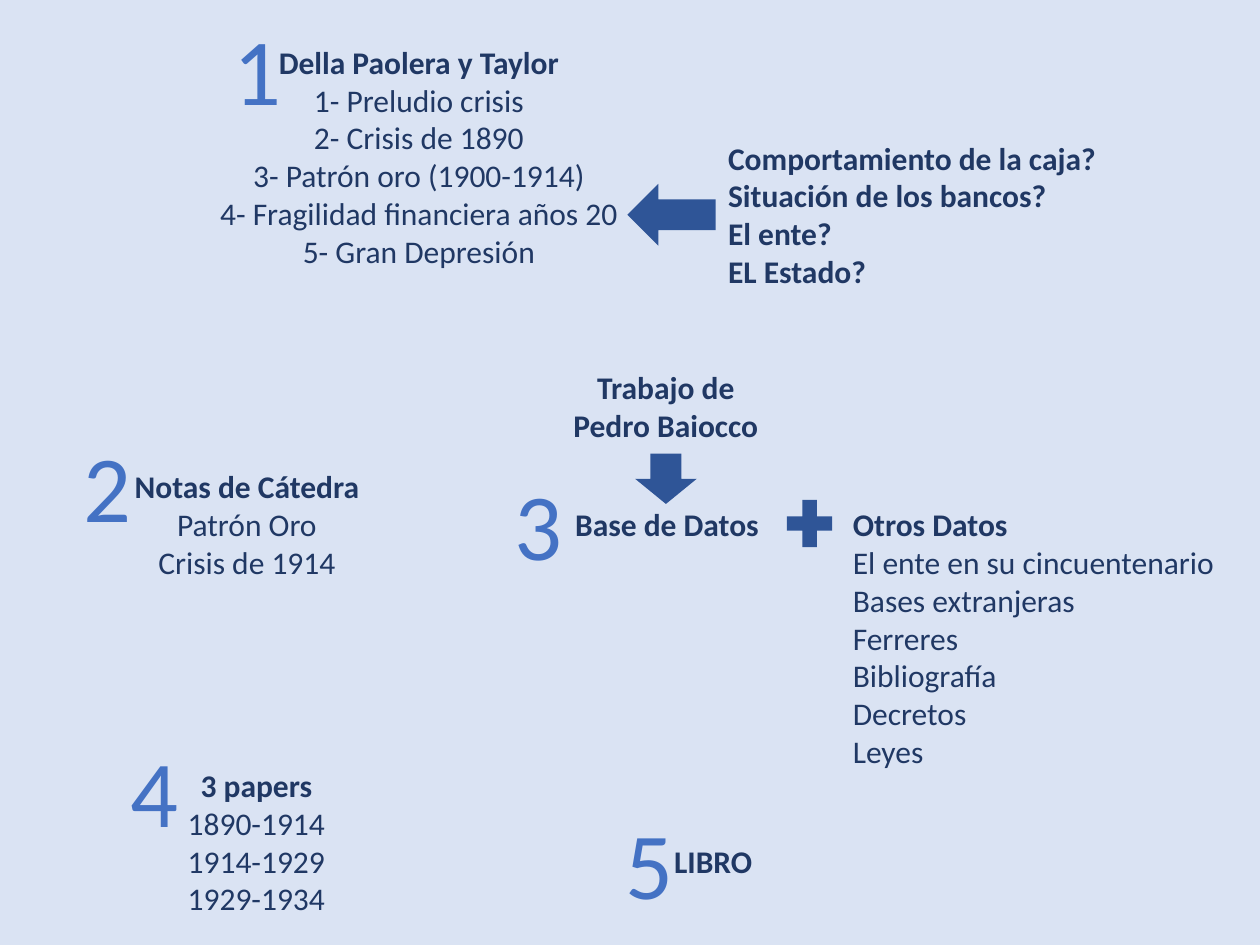
from pptx import Presentation
from pptx.dml.color import RGBColor
from pptx.enum.shapes import MSO_SHAPE
from pptx.enum.text import MSO_AUTO_SIZE, PP_ALIGN
from pptx.util import Inches, Pt

BACKGROUND = RGBColor(0xDA, 0xE3, 0xF3)
NAVY = RGBColor(0x20, 0x38, 0x64)
BLUE = RGBColor(0x2F, 0x55, 0x97)
NUMBER_BLUE = RGBColor(0x44, 0x72, 0xC4)
FONT = "Calibri"


def add_text(s, box, lines, size=18, color=NAVY, bold_lines=1,
             align=PP_ALIGN.CENTER, wrap=True):
    """Place lines in box; the first bold_lines of them are bold."""
    tf = s.shapes.add_textbox(*map(Inches, box)).text_frame
    tf.word_wrap = wrap
    tf.auto_size = MSO_AUTO_SIZE.SHAPE_TO_FIT_TEXT
    for i, line in enumerate(lines):
        p = tf.add_paragraph() if i else tf.paragraphs[0]
        p.text = line
        p.alignment = align
        p.font.name = FONT
        p.font.size = Pt(size)
        p.font.bold = i < bold_lines
        p.font.color.rgb = color


def add_number(s, number, left, top, width=0.59):
    add_text(s, (left, top, width, 1.01), [str(number)], size=54,
             color=NUMBER_BLUE, bold_lines=0, wrap=False)


def add_symbol(s, kind, box):
    sp = s.shapes.add_shape(kind, *map(Inches, box))
    sp.shadow.inherit = False
    sp.fill.solid()
    sp.fill.fore_color.rgb = BLUE
    sp.line.fill.background()


def add_authors(s, left, top):
    # Topics of the book, with the questions that point at them
    add_text(s, (left, top, 3.67, 1.92), [
        "Della Paolera y Taylor", "1- Preludio crisis", "2- Crisis de 1890",
        "3- Patrón oro (1900-1914)", "4- Fragilidad financiera años 20",
        "5- Gran Depresión"])
    add_number(s, 1, left + 0.23, top - 0.25, 0.64)
    add_symbol(s, MSO_SHAPE.LEFT_ARROW, (left + 3.49, top + 1.17, 0.7, 0.49))
    add_text(s, (left + 4.19, top + 0.76, 3.29, 1.31), [
        "Comportamiento de la caja?", "Situación de los bancos?",
        "El ente?", "EL Estado?"], bold_lines=4, align=PP_ALIGN.LEFT)


def add_notes(s, left, top):
    add_text(s, (left, top, 2.52, 1.01),
             ["Notas de Cátedra", "Patrón Oro", "Crisis de 1914"])
    add_number(s, 2, left - 0.14, top - 0.31)


def add_database(s, left, top):
    # Source work flowing down into the database
    add_text(s, (left + 0.69, top - 1.09, 2.27, 0.71),
             ["Trabajo de", "Pedro Baiocco"], bold_lines=2)
    add_symbol(s, MSO_SHAPE.DOWN_ARROW, (left + 1.58, top - 0.36, 0.49, 0.4))
    add_text(s, (left, top, 3.67, 0.4), ["Base de Datos"])
    add_number(s, 3, left + 0.52, top - 0.31)
    # Additional data
    add_symbol(s, MSO_SHAPE.MATH_PLUS, (left + 2.72, top - 0.06, 0.49, 0.51))
    add_text(s, (left + 3.21, top, 3.18, 2.22), [
        "Otros Datos", "El ente en su cincuentenario", "Bases extranjeras",
        "Ferreres", "Bibliografía", "Decretos", "Leyes"],
        align=PP_ALIGN.LEFT)


def add_papers(s, left, top):
    add_text(s, (left, top, 2.03, 1.31),
             ["3 papers", "1890-1914", "1914-1929", "1929-1934"])
    add_number(s, 4, left - 0.09, top - 0.26)


def add_book(s, left, top):
    add_text(s, (left, top, 1.18, 0.4), ["LIBRO"])
    add_number(s, 5, left - 0.21, top - 0.29)


def main():
    prs = Presentation()
    prs.slide_width, prs.slide_height = Inches(10), Inches(7.5)
    s = prs.slides.add_slide(prs.slide_layouts[6])
    s.background.fill.solid()
    s.background.fill.fore_color.rgb = BACKGROUND

    add_authors(s, 1.49, 0.29)
    add_notes(s, 0.7, 3.66)
    add_database(s, 3.46, 3.96)
    add_papers(s, 1.02, 6.03)
    add_book(s, 5.07, 6.63)
    prs.save("out.pptx")


if __name__ == "__main__":
    main()
